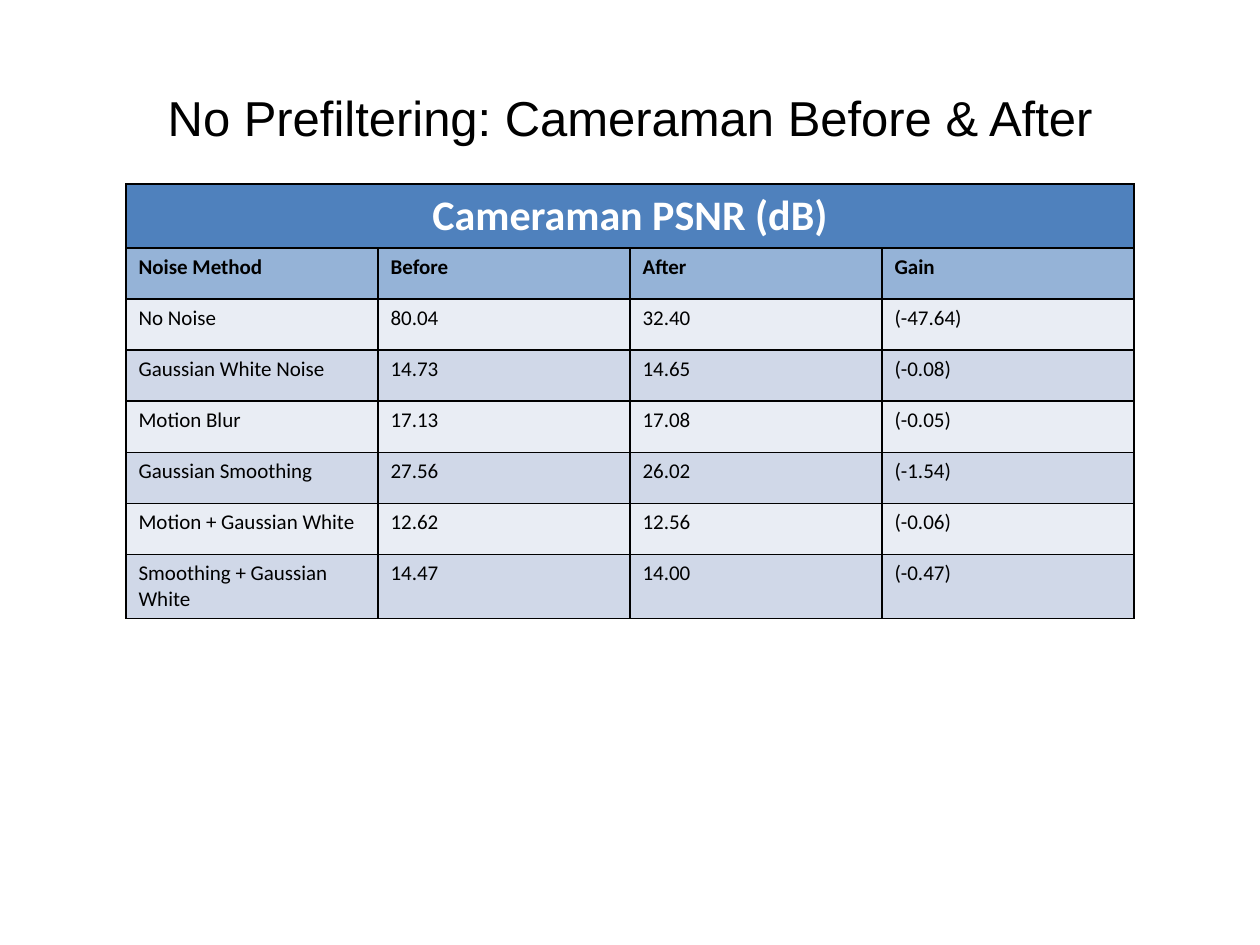
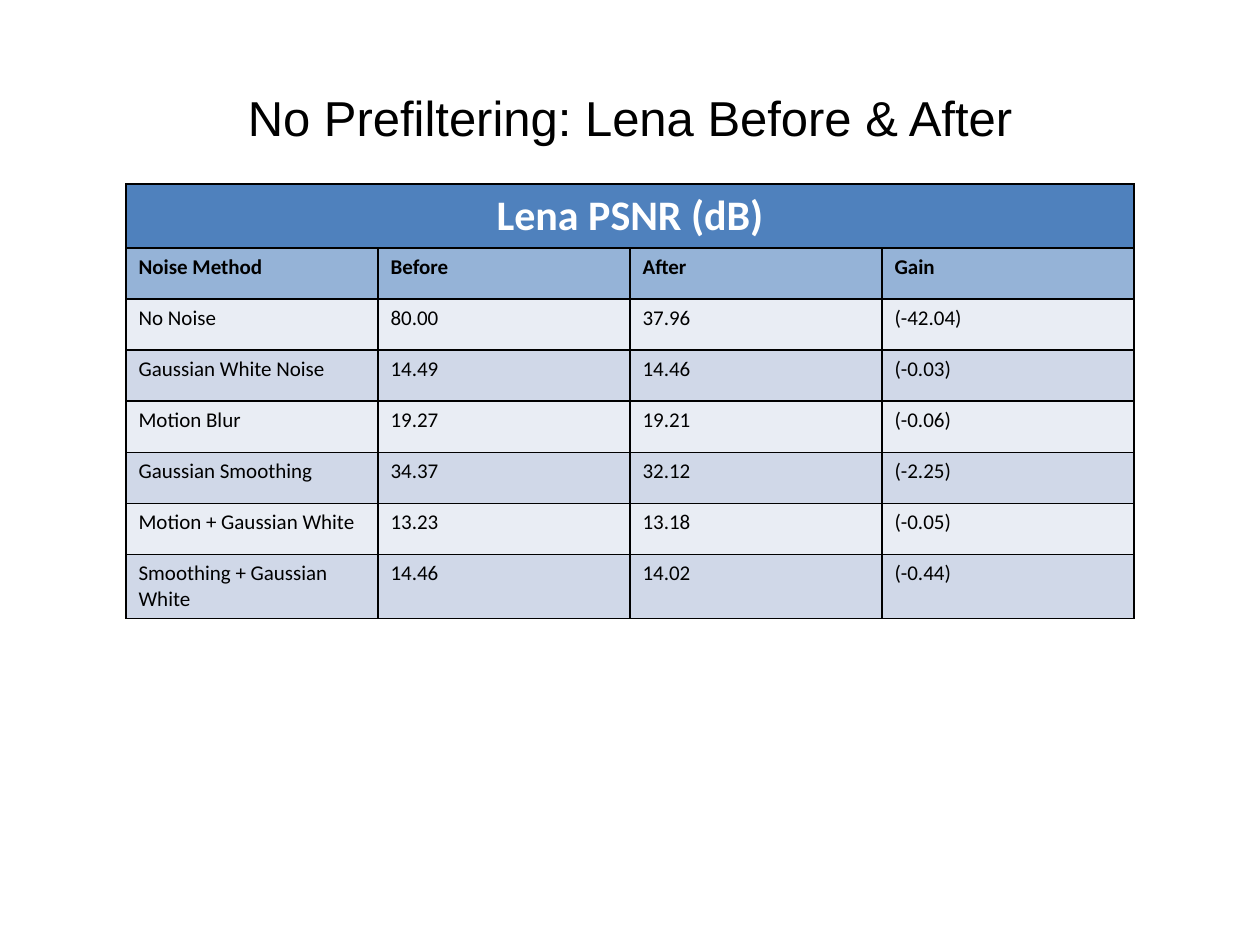
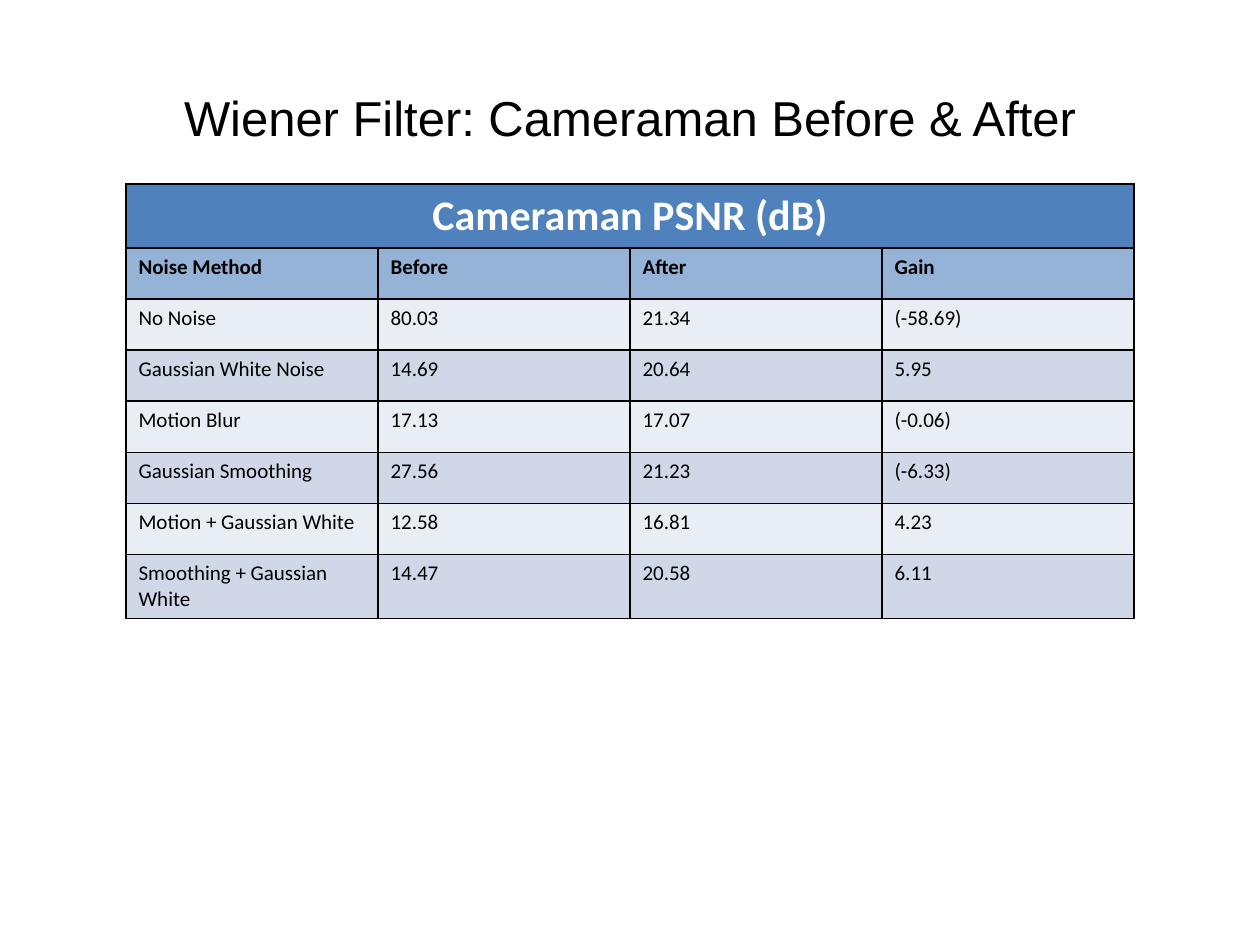
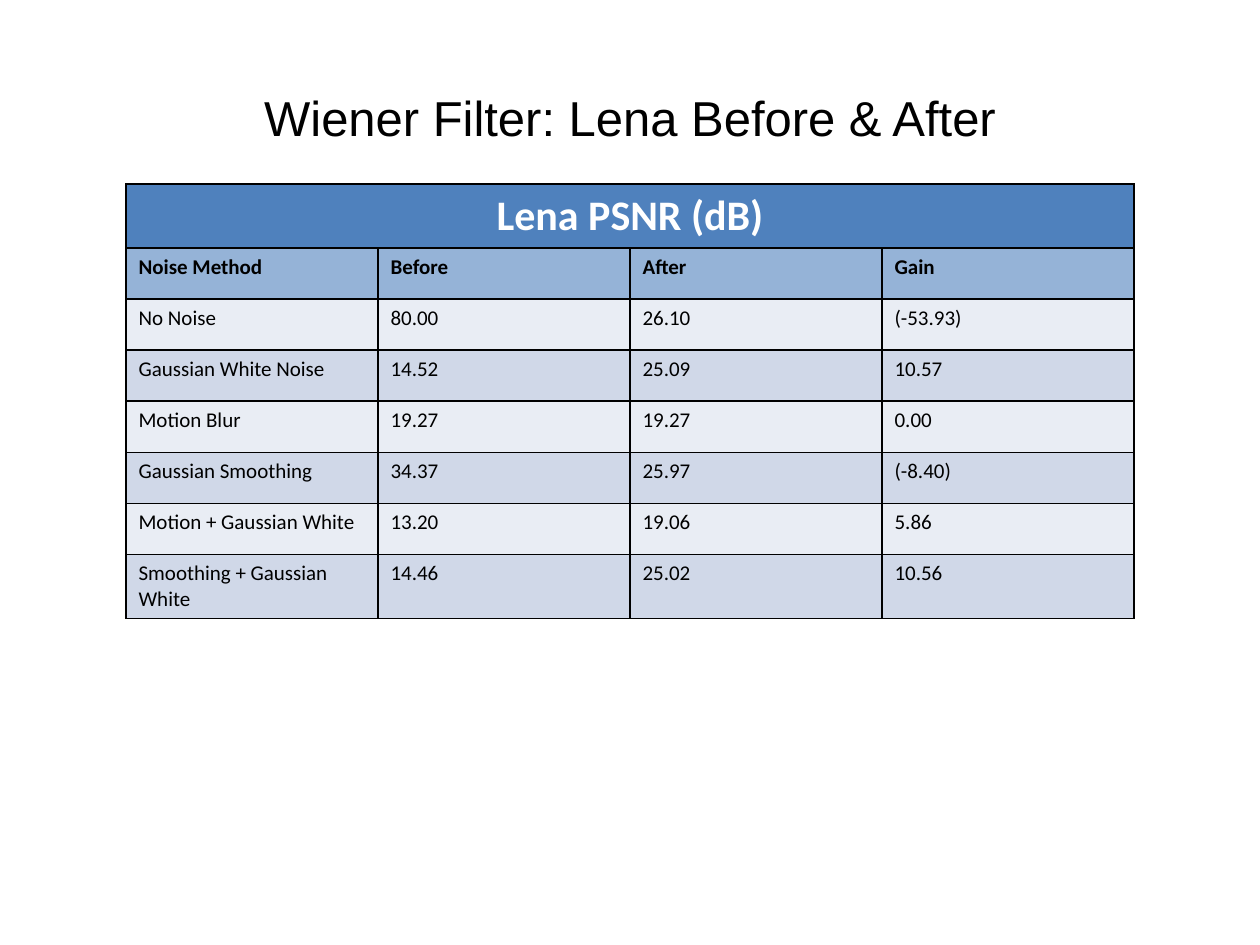
"""Build four slides of PSNR tables, before and after filtering."""
import pptx
import pptx.dml.color
import pptx.enum.text
import pptx.oxml
import pptx.oxml.ns
import pptx.util

Cm = pptx.util.Cm
Pt = pptx.util.Pt
RGBColor = pptx.dml.color.RGBColor
ALIGN = pptx.enum.text.PP_ALIGN
MIDDLE = pptx.enum.text.MSO_ANCHOR.MIDDLE

BLACK = RGBColor(0x00, 0x00, 0x00)
WHITE = RGBColor(0xFF, 0xFF, 0xFF)
BLUE = RGBColor(0x4F, 0x81, 0xBD)
SKY = RGBColor(0x95, 0xB3, 0xD7)
BANDS = (RGBColor(0xE9, 0xED, 0xF4), RGBColor(0xD0, 0xD8, 0xE8))

WIDTH, HEIGHT = Cm(25.4), Cm(19.05)
COL, ROW = Cm(5.08), Cm(1.03)
HEADS = ("Noise Method", "Before", "After", "Gain")
NOISES = (
    "No Noise",
    "Gaussian White Noise",
    "Motion Blur",
    "Gaussian Smoothing",
    "Motion + Gaussian White",
    "Smoothing + Gaussian White",
)
RESULTS = (
    ("No Prefiltering", "Cameraman", (
        ("80.04", "32.40", "(-47.64)"),
        ("14.73", "14.65", "(-0.08)"),
        ("17.13", "17.08", "(-0.05)"),
        ("27.56", "26.02", "(-1.54)"),
        ("12.62", "12.56", "(-0.06)"),
        ("14.47", "14.00", "(-0.47)"),
    )),
    ("No Prefiltering", "Lena", (
        ("80.00", "37.96", "(-42.04)"),
        ("14.49", "14.46", "(-0.03)"),
        ("19.27", "19.21", "(-0.06)"),
        ("34.37", "32.12", "(-2.25)"),
        ("13.23", "13.18", "(-0.05)"),
        ("14.46", "14.02", "(-0.44)"),
    )),
    ("Wiener Filter", "Cameraman", (
        ("80.03", "21.34", "(-58.69)"),
        ("14.69", "20.64", "5.95"),
        ("17.13", "17.07", "(-0.06)"),
        ("27.56", "21.23", "(-6.33)"),
        ("12.58", "16.81", "4.23"),
        ("14.47", "20.58", "6.11"),
    )),
    ("Wiener Filter", "Lena", (
        ("80.00", "26.10", "(-53.93)"),
        ("14.52", "25.09", "10.57"),
        ("19.27", "19.27", "0.00"),
        ("34.37", "25.97", "(-8.40)"),
        ("13.20", "19.06", "5.86"),
        ("14.46", "25.02", "10.56"),
    )),
)


def write(frame, text, size=12, font="Calibri", color=BLACK, bold=False,
          align=ALIGN.LEFT):
    """Put formatted text in a text frame."""
    para = frame.paragraphs[0]
    para.alignment = align
    run = para.add_run()
    run.text = text
    run.font.size = Pt(size)
    run.font.name = font
    run.font.color.rgb = color
    run.font.bold = bold


def add_title(slide, text):
    """Place and fill the slide title."""
    title = slide.shapes.title
    title.left, title.top = 0, Cm(0.76)
    title.width, title.height = WIDTH, Cm(3.18)
    title.text_frame.vertical_anchor = MIDDLE
    write(title.text_frame, text, size=28, font="Arial", align=ALIGN.CENTER)


def paint(cell, fill):
    """Give a cell thin black borders and a solid fill."""
    props = cell._tc.get_or_add_tcPr()
    for side in ("lnL", "lnR", "lnT", "lnB"):
        props.append(pptx.oxml.parse_xml(
            f'<a:{side} {pptx.oxml.ns.nsdecls("a")} w="{Pt(1)}"><a:solidFill>'
            f'<a:srgbClr val="{BLACK}"/></a:solidFill></a:{side}>'))
    cell.fill.solid()
    cell.fill.fore_color.rgb = fill


def add_grid(slide, name, scores):
    """Add the PSNR table for one test image."""
    rows = [HEADS] + [(noise, *vals) for noise, vals in zip(NOISES, scores)]
    count = len(rows) + 1
    table = slide.shapes.add_table(
        count, len(HEADS), Cm(2.54), Cm(3.71),
        COL * len(HEADS), ROW * count).table
    for line in table.rows:
        line.height = ROW
    for col in range(len(HEADS)):
        paint(table.cell(0, col), BLUE)
    top = table.cell(0, 0)
    top.merge(table.cell(0, len(HEADS) - 1))
    write(top.text_frame, f"{name} PSNR (dB)", size=24, color=WHITE,
          bold=True, align=ALIGN.CENTER)
    for row, texts in enumerate(rows, 1):
        head = row == 1
        for col, text in enumerate(texts):
            cell = table.cell(row, col)
            paint(cell, SKY if head else BANDS[row % 2])
            write(cell.text_frame, text, bold=head)


def main():
    """Build and save the deck."""
    deck = pptx.Presentation()
    deck.slide_width, deck.slide_height = WIDTH, HEIGHT
    for method, name, scores in RESULTS:
        slide = deck.slides.add_slide(deck.slide_layouts[5])
        add_title(slide, f"{method}: {name} Before & After")
        add_grid(slide, name, scores)
    deck.save("out.pptx")


if __name__ == "__main__":
    main()
